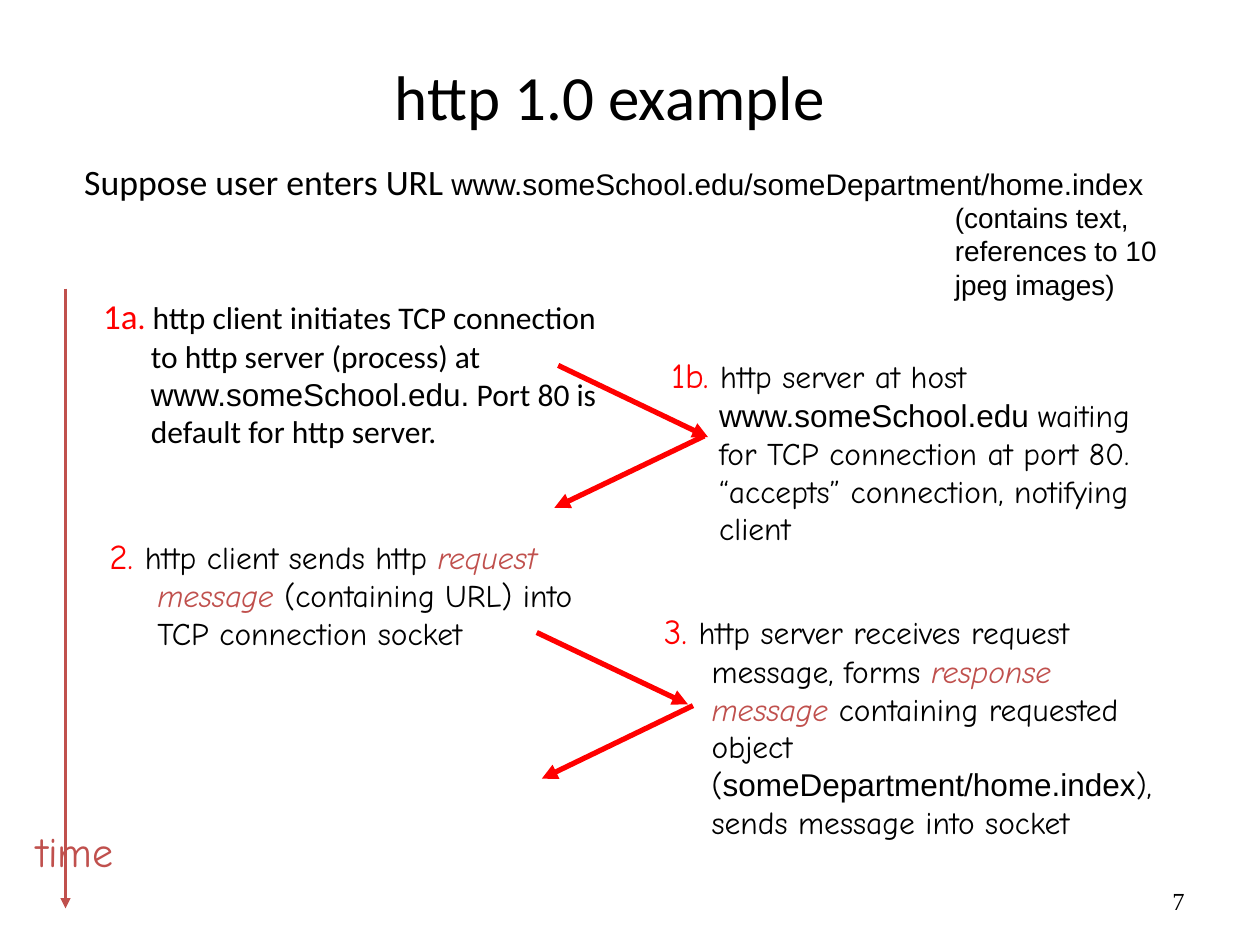
import pptx
import pptx.util
import pptx.dml.color
import pptx.enum.shapes
import pptx.enum.text
import pptx.oxml
import pptx.oxml.ns

Inches = pptx.util.Inches
Align = pptx.enum.text.PP_ALIGN
Anchor = pptx.enum.text.MSO_ANCHOR

BLACK, RED, BRICK = "000000", "FF0000", "C0504D"
CALIBRI, ARIAL, COMIC = "Calibri", "Arial", "Comic Neue"
HANGING = 0.38


def rgb(color):
    return pptx.dml.color.RGBColor.from_string(color)


def add_text(slide, box, paragraphs, align=Align.LEFT, anchor=Anchor.TOP, hanging=0, wrap=True):
    frame = slide.shapes.add_textbox(*[Inches(length) for length in box]).text_frame
    frame.word_wrap = wrap
    frame.vertical_anchor = anchor
    if not wrap:
        frame.auto_size = pptx.enum.text.MSO_AUTO_SIZE.SHAPE_TO_FIT_TEXT
    for index, pieces in enumerate(paragraphs):
        paragraph = frame.paragraphs[0] if index == 0 else frame.add_paragraph()
        paragraph.alignment = align
        if hanging:
            properties = paragraph._p.get_or_add_pPr()
            properties.set("marL", str(Inches(hanging)))
            properties.set("indent", str(-Inches(hanging)))
        for words, size, font, color, *italic in pieces:
            run = paragraph.add_run()
            run.text = words
            run.font.size = pptx.util.Pt(size)
            run.font.name = font
            run.font.color.rgb = rgb(color)
            run.font.italic = bool(italic)


def add_step(slide, box, number, pieces):
    add_text(slide, box, [number + pieces], hanging=HANGING)


def add_arrow(slide, start, end, color, width):
    arrow = slide.shapes.add_connector(
        pptx.enum.shapes.MSO_CONNECTOR.STRAIGHT,
        *[Inches(length) for length in start + end])
    arrow.line.color.rgb = rgb(color)
    arrow.line.width = pptx.util.Pt(width)
    head = pptx.oxml.parse_xml(
        f'<a:tailEnd {pptx.oxml.ns.nsdecls("a")} type="triangle"/>')
    arrow.line._get_or_add_ln().append(head)
    arrow._element.spPr.append(
        pptx.oxml.parse_xml(f'<a:effectLst {pptx.oxml.ns.nsdecls("a")}/>'))


def main():
    deck = pptx.Presentation()
    deck.slide_width, deck.slide_height = Inches(10), Inches(7.5)
    slide = deck.slides.add_slide(deck.slide_layouts[6])

    add_text(slide, (7.17, 6.95, 2.33, 0.4), [[("7", 14, "Times New Roman", BLACK)]],
             align=Align.RIGHT, anchor=Anchor.MIDDLE)
    add_arrow(slide, (0.52, 2.29), (0.52, 7.21), BRICK, 1.5)
    add_text(slide, (0.59, 0.28, 8.5, 0.95), [[("http 1.0 example", 36, CALIBRI, BLACK)]],
             align=Align.CENTER, anchor=Anchor.MIDDLE)
    add_text(slide, (0.57, 1.22, 9.12, 0.51), [[
        ("Suppose user enters URL ", 20.4, CALIBRI, BLACK),
        ("www.someSchool.edu/someDepartment/home.index", 17, ARIAL, BLACK),
    ]], hanging=HANGING)

    add_step(slide, (0.72, 2.29, 4.17, 2.08),
             [("1a", 20, CALIBRI, RED), (".", 18, CALIBRI, RED)], [
        (" http client initiates TCP connection to http server (process) at ", 18, CALIBRI, BLACK),
        ("www.someSchool.edu.", 18, ARIAL, BLACK),
        (" Port 80 is default for http server.", 18, CALIBRI, BLACK),
    ])
    add_step(slide, (0.77, 4.19, 4.17, 1.18), [("2. ", 20, COMIC, RED)], [
        ("http client sends http ", 18, COMIC, BLACK),
        ("request message", 18, COMIC, BRICK, True),
        (" (containing URL) into TCP connection socket", 18, COMIC, BLACK),
    ])
    add_step(slide, (5.23, 2.76, 4.17, 1.65), [("1b. ", 20, COMIC, RED)], [
        ("http server at host ", 18, COMIC, BLACK),
        ("www.someSchool.edu ", 18, ARIAL, BLACK),
        ("waiting for TCP connection at port 80. “accepts” connection, notifying client",
         18, COMIC, BLACK),
    ])
    add_step(slide, (5.17, 4.79, 4.17, 1.97), [("3. ", 20, COMIC, RED)], [
        ("http server receives request message, forms ", 18, COMIC, BLACK),
        ("response message", 18, COMIC, BRICK, True),
        (" containing requested object (", 18, COMIC, BLACK),
        ("someDepartment/home.index", 18, ARIAL, BLACK),
        ("), sends message into socket", 18, COMIC, BLACK),
    ])

    for start, end in [
        ((4.43, 2.9), (5.62, 3.47)),
        ((4.26, 5.02), (5.46, 5.59)),
        ((5.5, 5.6), (4.3, 6.18)),
        ((5.59, 3.46), (4.4, 4.03)),
    ]:
        add_arrow(slide, start, end, RED, 3)

    add_text(slide, (0.19, 6.5, 0.89, 0.5), [[("time", 24, COMIC, BRICK)]], wrap=False)
    url_notes = ["(contains text,", "references to 10", "jpeg images)"]
    add_text(slide, (7.48, 1.54, 1.89, 0.91),
             [[(note, 16, ARIAL, BLACK)] for note in url_notes], wrap=False)

    deck.save("out.pptx")


if __name__ == "__main__":
    main()
